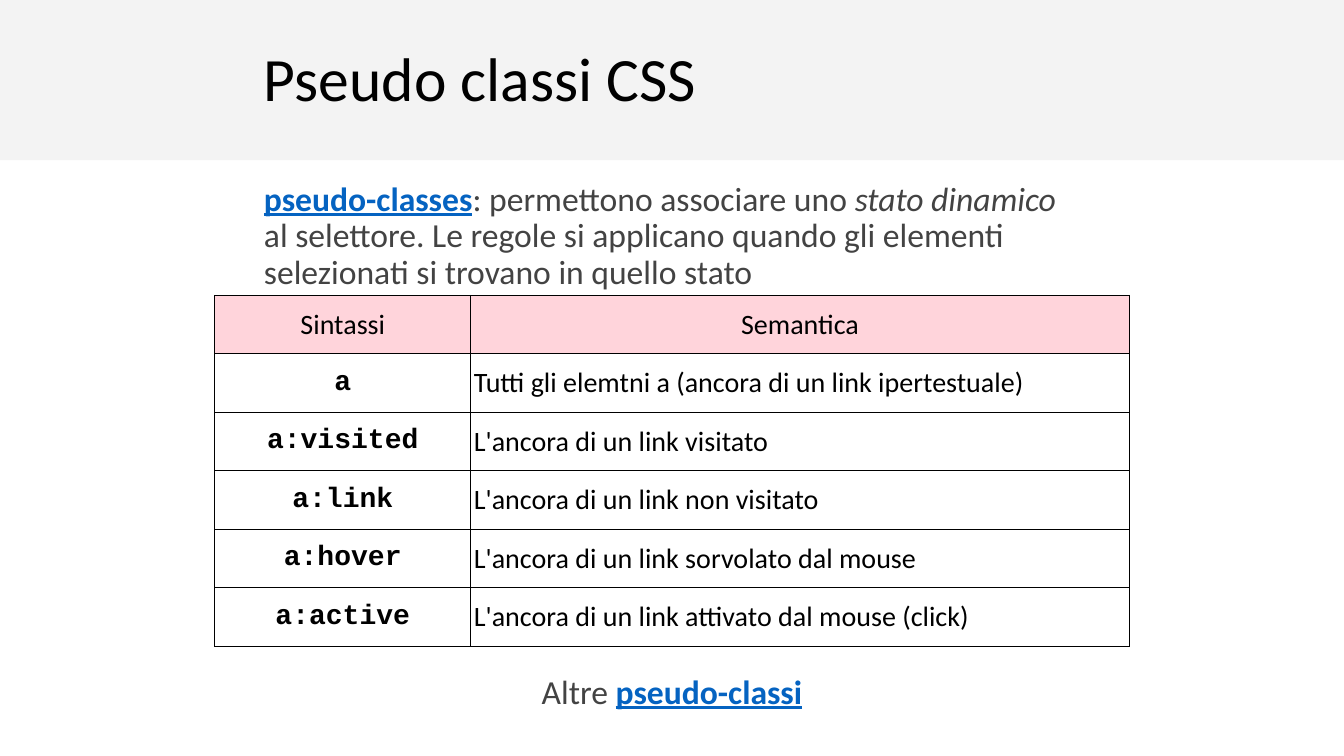
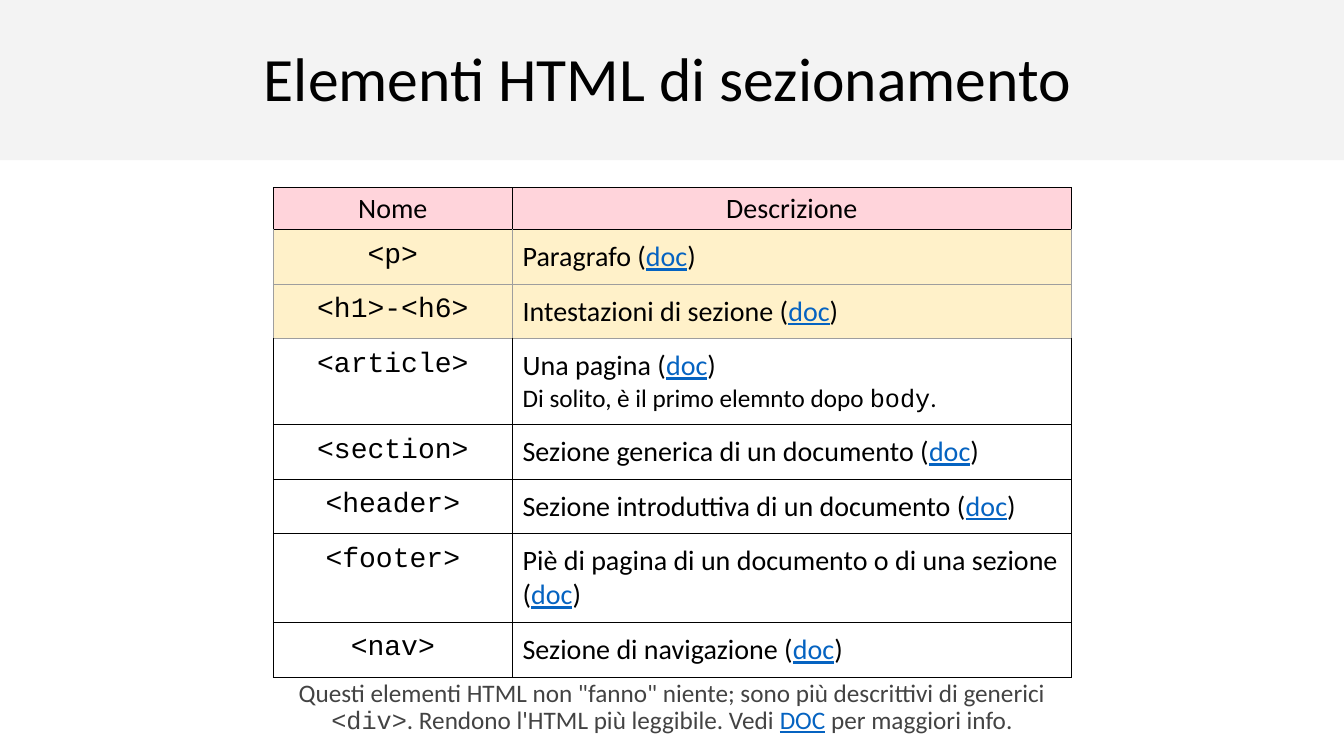
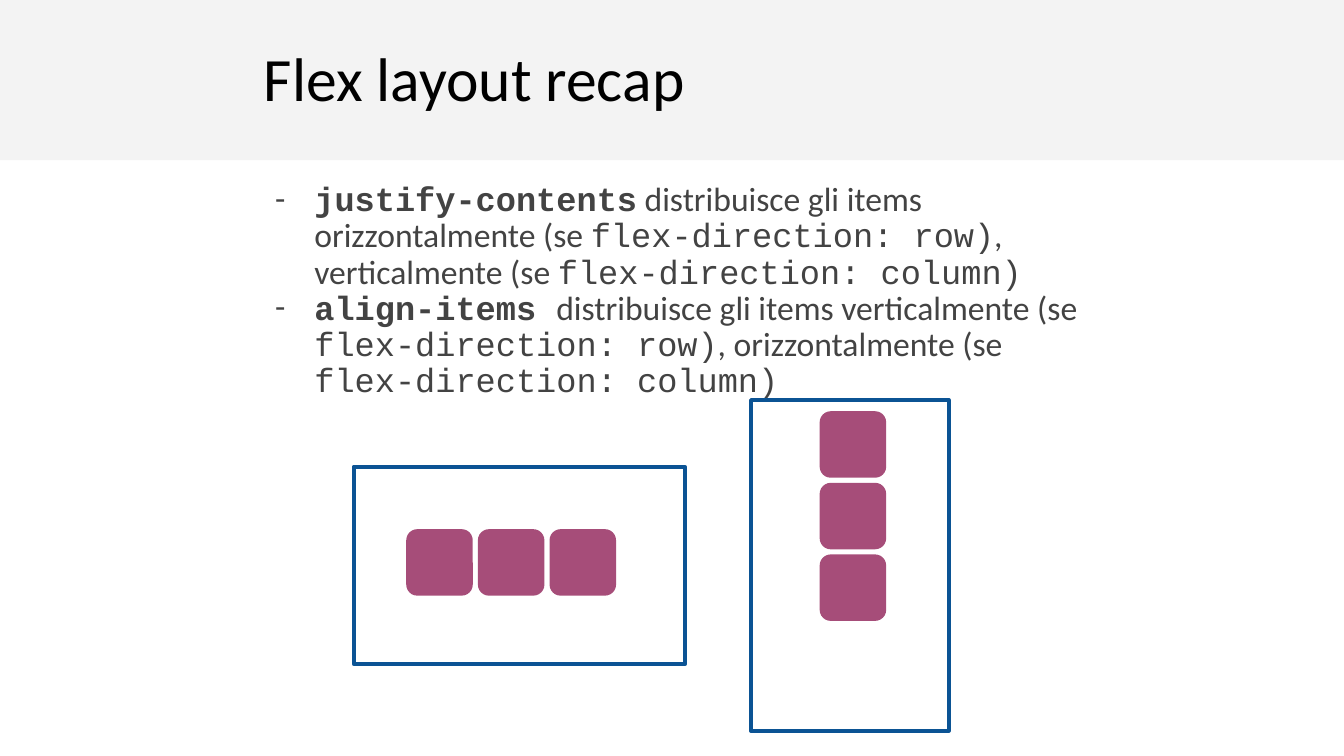
from pptx import Presentation
from pptx.dml.color import RGBColor as Rgb
from pptx.enum.shapes import MSO_SHAPE as Shape
from pptx.enum.text import MSO_ANCHOR as Anchor, MSO_AUTO_SIZE as Fit, PP_ALIGN as Align
from pptx.oxml.ns import qn
from pptx.util import Inches, Pt
from lxml.etree import SubElement as Sub

HUE = {"band": "F3F3F3", "black": "000000", "text": "434343", "link": "0563C1",
       "head": "FFC2CC", "gold": "FFD966", "grey": "9E9E9E", "white": "FFFFFF",
       "frame": "0B5394", "tile": "A64D79"}
SANS, MONO = "Calibri", "Courier New"

deck = Presentation()
deck.slide_width, deck.slide_height = Inches(13.33), Inches(7.5)


def area(left, top, wide, tall):
    """Turn percentages of the slide into left, top, width and height."""
    across, down = deck.slide_width / 100, deck.slide_height / 100
    return [int(n) for n in (left * across, top * down, wide * across, tall * down)]


def write(par, runs, size, hue):
    """Add (text, flags) runs: m mono, b bold, i italic, k link, s small."""
    for text, flags in runs:
        if text == "\n":
            par.add_line_break()
            continue
        run = par.add_run()
        run.text = text
        font = run.font
        font.name = MONO if "m" in flags else SANS
        font.size = Pt(18 if "s" in flags else size)
        font.bold, font.italic, font.underline = "b" in flags, "i" in flags, "k" in flags
        font.color.rgb = Rgb.from_string(HUE["link" if "k" in flags else hue])


# Shared title and body style
master = deck.slide_master
for holder in list(master.placeholders)[:2]:
    frame = holder.text_frame
    frame.margin_left = frame.margin_right = Inches(0.1)
    frame.margin_top = frame.margin_bottom = Inches(0.1)
    frame.auto_size, frame.vertical_anchor = Fit.NONE, Anchor.TOP

# Content of the slides
ROW, COLUMN = ("flex-direction: row)", "m"), ("flex-direction: column)", "m")
DOC = [("doc", "k"), (")", "")]
STATES = [
    ("a", "Tutti gli elemtni a (ancora di un link ipertestuale)"),
    ("a:visited", "L'ancora di un link visitato"),
    ("a:link", "L'ancora di un link non visitato"),
    ("a:hover", "L'ancora di un link sorvolato dal mouse"),
    ("a:active", "L'ancora di un link attivato dal mouse (click)"),
]
TAGS = [
    ("<p>", "Paragrafo (", []),
    ("<h1>-<h6>", "Intestazioni di sezione (", []),
    ("<article>", "Una pagina (",
     [("\n", ""), ("Di solito, è il primo elemnto dopo ", "s"), ("body", "ms"), (".", "s")]),
    ("<section>", "Sezione generica di un documento (", []),
    ("<header>", "Sezione introduttiva di un documento (", []),
    ("<footer>", "Piè di pagina di un documento o di una sezione (", []),
    ("<nav>", "Sezione di navigazione (", []),
]
PAGES = [
    {"title": "Pseudo classi CSS", "wide": 62.2, "layout": 3,
     "bodies": [
         {"top": 22.8, "tall": 21.47, "size": 24, "align": Align.LEFT, "pars": [
             [("pseudo-classes", "bk"), (": permettono associare uno ", ""),
              ("stato dinamico ", "i"),
              ("al selettore. Le regole si applicano quando gli elementi "
               "selezionati si trovano in quello stato", "")]]},
         {"top": 88, "tall": 11.07, "size": 24, "align": Align.CENTER, "pars": [
             [("Altre ", ""), ("pseudo-classi", "bk")]]}],
     "table": {"at": (15.98, 39.07, 68.04, 46.4), "first": 0.28, "gold": 0,
               "inset": 0.03, "anchor": Anchor.MIDDLE, "fill": None,
               "rows": [[[("Sintassi", "")], [("Semantica", "")]]]
               + [[[(code, "mb")], [(text, "")]] for code, text in STATES]}},
    {"title": "Elementi HTML di sezionamento", "wide": 65.5, "layout": 1,
     "bodies": [
         {"top": 88.67, "tall": 14.93, "size": 18, "align": Align.CENTER, "pars": [
             [('Questi elementi HTML non "fanno" niente; sono più descrittivi di generici ', ""),
              ("<div>", "m"), (". Rendono l'HTML più leggibile. Vedi ", ""),
              ("DOC", "k"), (" per maggiori info.", "")]]}],
     "table": {"at": (20.33, 24.8, 59.36, 44.8), "first": 0.3, "gold": 2,
               "inset": 0.1, "anchor": Anchor.TOP, "fill": "white",
               "rows": [[[("Nome", "")], [("Descrizione", "")]]]
               + [[[(tag, "m")], [(text, "")] + DOC + more] for tag, text, more in TAGS]}},
    {"title": "Flex layout recap", "wide": 62.2, "layout": 1,
     "bodies": [
         {"top": 22.8, "tall": 25.87, "size": 24, "align": Align.LEFT, "dash": True, "pars": [
             [("justify-contents", "mb"), (" distribuisce gli items orizzontalmente (se ", ""),
              ROW, (", verticalmente (se ", ""), COLUMN],
             [("align-items ", "mb"), ("distribuisce gli items verticalmente (se ", ""),
              ROW, (", orizzontalmente (se ", ""), COLUMN]]}]},
]

for page in PAGES:
    slide = deck.slides.add_slide(deck.slide_layouts[page["layout"]])
    title, *holders = slide.placeholders
    title.left, title.top, title.width, title.height = area(18.9, 5.07, page["wide"], 11.07)
    par = title.text_frame.paragraphs[0]
    par.alignment, par.line_spacing = Align.LEFT, 0.9
    write(par, [(page["title"], "")], 44, "black")

    for holder, body in zip(holders, page["bodies"]):
        holder.left, holder.top, holder.width, holder.height = area(
            18.9, body["top"], 62.2, body["tall"])
        dash = "dash" in body
        for i, runs in enumerate(body["pars"]):
            frame = holder.text_frame
            par = frame.add_paragraph() if i else frame.paragraphs[0]
            par.alignment, par.line_spacing, par.space_before = body["align"], 0.9, Pt(0)
            props = par._p.get_or_add_pPr()
            props.set("marL", str(Inches(0.5 if dash else 0)))
            props.set("indent", str(Inches(-0.39 if dash else 0)))
            if dash:
                Sub(Sub(props, qn("a:buClr")), qn("a:srgbClr"), val=HUE["text"])
                Sub(props, qn("a:buFont"), typeface=SANS)
                Sub(props, qn("a:buChar"), char="-")
            else:
                Sub(props, qn("a:buNone"))
            write(par, runs, body["size"], "text")

    if "table" not in page:
        continue
    spec = page["table"]
    rows, place = spec["rows"], area(*spec["at"])
    table = slide.shapes.add_table(len(rows), 2, *place).table
    table.first_row = table.horz_banding = False
    for col, share in zip(table.columns, (spec["first"], 1 - spec["first"])):
        col.width = int(place[2] * share)
    above = "black"
    for r, row in enumerate(rows):
        gold = 1 <= r <= spec["gold"]
        edge = "grey" if gold else "black"
        fill, alpha = ("head", 70) if r == 0 else ("gold", 35) if gold else (spec["fill"], 100)
        inset = Inches(spec["inset"] if r else 0.03)
        for c, runs in enumerate(row):
            cell = table.cell(r, c)
            cell.margin_left = cell.margin_right = inset
            cell.margin_top = cell.margin_bottom = inset
            cell.vertical_anchor = spec["anchor"] if r else Anchor.MIDDLE
            props = cell._tc.get_or_add_tcPr()
            for side in "LRTB":
                line = Sub(props, qn("a:ln" + side), w=str(Pt(0.75)))
                hue = HUE[above if side == "T" else edge]
                Sub(Sub(line, qn("a:solidFill")), qn("a:srgbClr"), val=hue)
            if fill:
                cell.fill.solid()
                cell.fill.fore_color.rgb = Rgb.from_string(HUE[fill])
                if alpha < 100:
                    paint = props.find(qn("a:solidFill") + "/" + qn("a:srgbClr"))
                    Sub(paint, qn("a:alpha"), val=str(alpha * 1000))
            else:
                cell.fill.background()
            par = cell.text_frame.paragraphs[0]
            par.alignment = Align.LEFT if r and c else Align.CENTER
            write(par, runs, 20, "black")
        above = edge

# Flex containers, a column and a row, with three items each
FLEX = [
    ((55.89, 52.93, 14.7, 43.73), (60.99, 54.4), (0, 9.47)),
    ((26.33, 61.73, 24.61, 26.13), (30.23, 70), (5.33, 0)),
]
for outer, (left, top), (right, down) in FLEX:
    box = slide.shapes.add_shape(Shape.RECTANGLE, *area(*outer))
    box.shadow.inherit = False
    box.fill.solid()
    box.fill.fore_color.rgb = Rgb.from_string(HUE["white"])
    box.line.color.rgb = Rgb.from_string(HUE["frame"])
    box.line.width = Pt(3)
    for i in range(3):
        tile = slide.shapes.add_shape(
            Shape.ROUNDED_RECTANGLE, *area(left + i * right, top + i * down, 4.95, 8.8))
        tile.shadow.inherit = False
        tile.fill.solid()
        tile.fill.fore_color.rgb = Rgb.from_string(HUE["tile"])
        tile.line.fill.background()

# Title band, moved to the back of the master so that every slide shows it
band = slide.shapes.add_shape(Shape.RECTANGLE, *area(0, 0, 100, 21.2))
band.shadow.inherit = False
band.fill.solid()
band.fill.fore_color.rgb = Rgb.from_string(HUE["band"])
band.line.fill.background()
master.shapes.element.insert(2, band.element)

deck.save("out.pptx")
